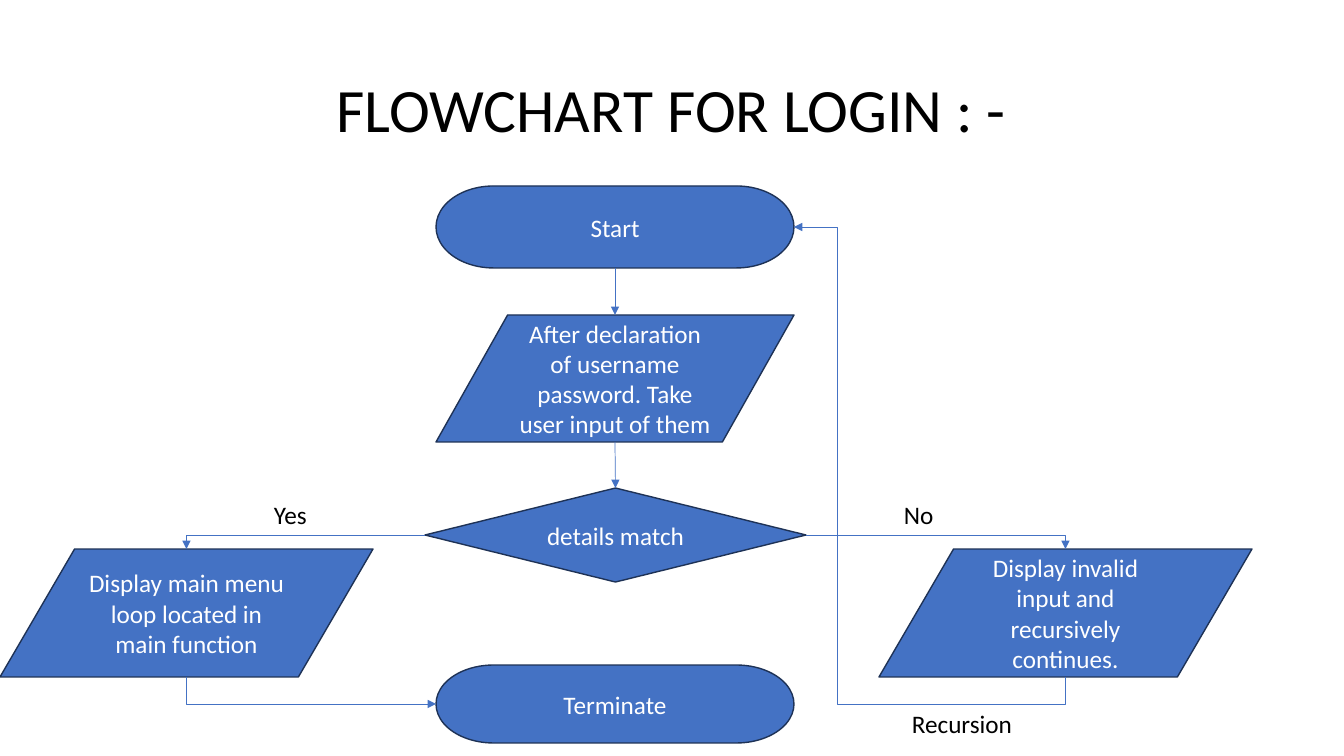
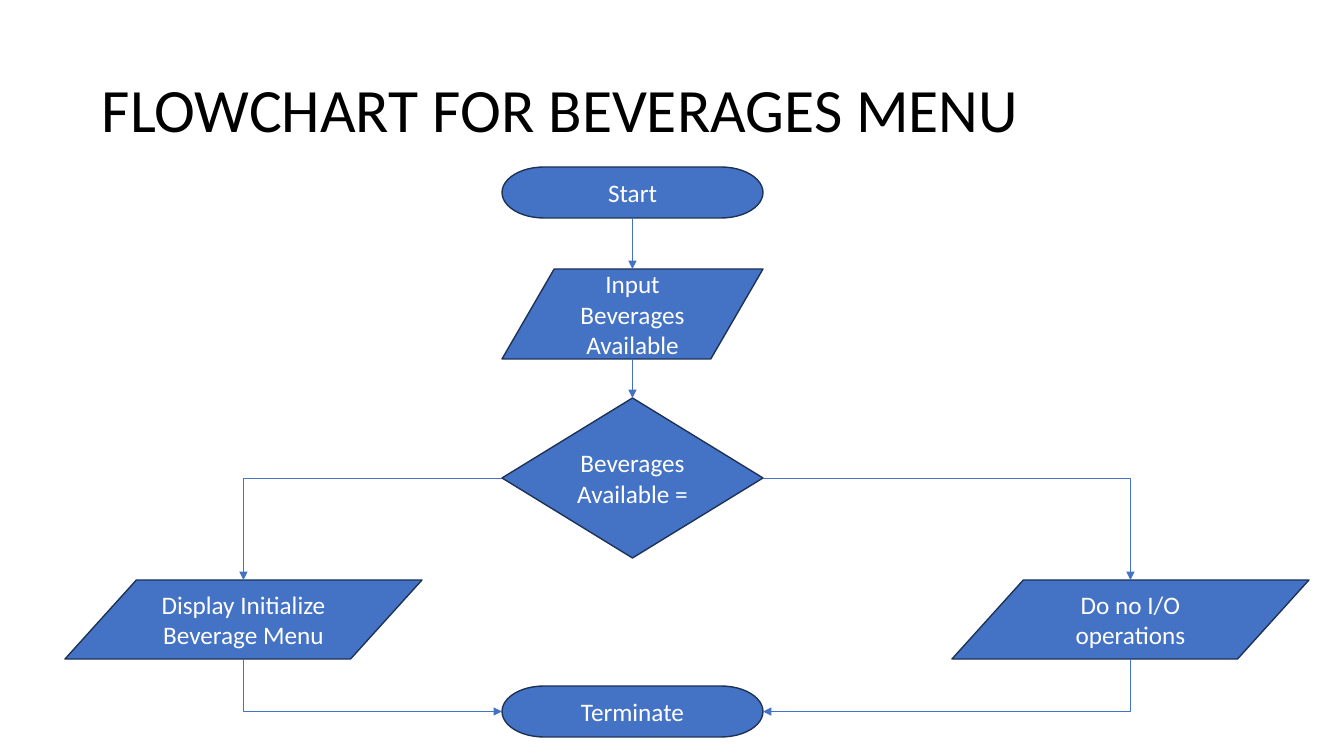
from typing import NamedTuple

from lxml import etree
from pptx import Presentation
from pptx.dml.color import RGBColor
from pptx.enum.shapes import MSO_CONNECTOR, MSO_SHAPE
from pptx.enum.text import MSO_ANCHOR, PP_ALIGN
from pptx.oxml.ns import qn
from pptx.util import Emu, Pt

EMU_PER_PX = 914400 / 100.8
SLIDE_W, SLIDE_H = 1344, 756

BLUE = RGBColor(0x44, 0x72, 0xC4)
NAVY = RGBColor(0x1E, 0x32, 0x56)
WHITE = RGBColor(0xFF, 0xFF, 0xFF)
BLACK = RGBColor(0x00, 0x00, 0x00)
FONT = "Calibri"
TITLE_PT, BODY_PT = 44, 18

TERMINATOR = MSO_SHAPE.FLOWCHART_TERMINATOR
INPUT_OUTPUT = MSO_SHAPE.FLOWCHART_DATA
DECISION = MSO_SHAPE.FLOWCHART_DECISION
STRAIGHT, ELBOW = MSO_CONNECTOR.STRAIGHT, MSO_CONNECTOR.ELBOW
LEFT, CENTER = PP_ALIGN.LEFT, PP_ALIGN.CENTER
TOP, MIDDLE = MSO_ANCHOR.TOP, MSO_ANCHOR.MIDDLE


class Box(NamedTuple):
    x: int
    y: int
    w: int
    h: int

    def inner(self, x, y, w, h):
        """A box placed relative to this one."""
        return Box(self.x + x, self.y + y, w, h)

    def emu(self):
        return [px(length) for length in self]

    @property
    def top(self):
        return self.x + self.w / 2, self.y

    @property
    def bottom(self):
        return self.x + self.w / 2, self.y + self.h

    @property
    def left(self):
        return self.x, self.y + self.h / 2

    @property
    def right(self):
        return self.x + self.w, self.y + self.h / 2


TITLE_BOX = Box(92, 40, 1159, 146)


def px(length):
    return Emu(round(length * EMU_PER_PX))


def write(shape, text, size, color, align, anchor):
    frame = shape.text_frame
    frame.word_wrap = True
    frame.vertical_anchor = anchor
    paragraph = frame.paragraphs[0]
    paragraph.alignment = align
    run = paragraph.add_run()
    run.text = text
    run.font.size = Pt(size)
    run.font.name = FONT
    run.font.color.rgb = color
    return paragraph


def add_title(slide, box, text, align):
    title = slide.shapes.add_textbox(*box.emu())
    write(title, text, TITLE_PT, BLACK, align, MIDDLE).line_spacing = 0.9


def add_label(slide, box, text):
    label = slide.shapes.add_textbox(*box.emu())
    write(label, text, BODY_PT, BLACK, LEFT, TOP)


def add_step(slide, kind, box, text):
    """Draw one flowchart step and return its box."""
    step = slide.shapes.add_shape(kind, *box.emu())
    step.shadow.inherit = False
    step.fill.solid()
    step.fill.fore_color.rgb = BLUE
    step.line.color.rgb = NAVY
    step.line.width = Pt(1)
    write(step, text, BODY_PT, WHITE, CENTER, MIDDLE)
    return box


def add_arrow(slide, start, end, kind=STRAIGHT):
    """Draw an arrow and return its shape properties element."""
    arrow = slide.shapes.add_connector(kind, *map(px, start + end))
    arrow.line.color.rgb = BLUE
    arrow.line.width = Pt(0.5)
    properties = arrow.element.spPr
    line = properties.find(qn("a:ln"))
    etree.SubElement(line, qn("a:tailEnd"), type="triangle")
    etree.SubElement(properties, qn("a:effectLst"))
    return properties


def across_then_down(slide, start, end):
    properties = add_arrow(slide, start, end, ELBOW)
    properties.find(qn("a:prstGeom")).set("prst", "bentConnector2")


def down_then_across(slide, start, end, preset="bentConnector2", bends=()):
    """Leave vertically and arrive horizontally, as a connector turned a quarter."""
    (x1, y1), (x2, y2) = start, end
    w, h = abs(y2 - y1), abs(x2 - x1)
    x, y = (x1 + x2 - w) / 2, (y1 + y2 - h) / 2
    properties = add_arrow(slide, (x, y), (x + w, y + h), ELBOW)
    goes_right, goes_down = x2 > x1, y2 > y1
    transform = properties.find(qn("a:xfrm"))
    transform.set("rot", str((270 if goes_right else 90) * 60000))
    if goes_right == goes_down:
        transform.set("flipH", "1")
    geometry = properties.find(qn("a:prstGeom"))
    geometry.set("prst", preset)
    guides = geometry.find(qn("a:avLst"))
    for number, bend in enumerate(bends, 1):
        etree.SubElement(guides, qn("a:gd"), name=f"adj{number}",
                         fmla=f"val {bend * 1000}")


def add_main_column(slide, steps):
    """Draw steps from top to bottom, each joined to the next by an arrow."""
    boxes = [add_step(slide, *step) for step in steps]
    for upper, lower in zip(boxes, boxes[1:]):
        add_arrow(slide, upper.bottom, lower.top)
    return boxes


def add_login_flow(slide, area):
    start, _, match = add_main_column(slide, [
        (TERMINATOR, area.inner(436, 0, 358, 82), "Start"),
        (INPUT_OUTPUT, area.inner(436, 129, 358, 127),
         "After declaration of username password. Take user input of them"),
        (DECISION, area.inner(425, 302, 381, 94), "details match"),
    ])
    terminate = add_step(slide, TERMINATOR, area.inner(436, 479, 358, 78), "Terminate")
    invalid = add_step(slide, INPUT_OUTPUT, area.inner(879, 363, 373, 128),
                       "Display invalid input and recursively continues.")
    menu = add_step(slide, INPUT_OUTPUT, area.inner(0, 363, 373, 128),
                    "Display main menu loop located in main function")

    across_then_down(slide, match.right, invalid.top)
    across_then_down(slide, match.left, menu.top)
    down_then_across(slide, menu.bottom, terminate.left)
    down_then_across(slide, invalid.bottom, start.right,
                     "bentConnector4", bends=(-6, 84))
    add_label(slide, area.inner(264, 308, 74, 40), "Yes")
    add_label(slide, area.inner(894, 308, 117, 40), "No")
    add_label(slide, area.inner(902, 517, 127, 40), "Recursion")


def add_beverages_flow(slide, area):
    *_, available = add_main_column(slide, [
        (TERMINATOR, area.inner(437, 0, 261, 51), "Start"),
        (INPUT_OUTPUT, area.inner(437, 102, 261, 90), "Input Beverages Available"),
        (DECISION, area.inner(437, 231, 261, 160), "Beverages Available ="),
    ])
    menu = add_step(slide, INPUT_OUTPUT, area.inner(0, 413, 357, 79),
                    "Display Initialize Beverage Menu")
    nothing = add_step(slide, INPUT_OUTPUT, area.inner(887, 413, 357, 79),
                       "Do no I/O operations")
    terminate = add_step(slide, TERMINATOR, area.inner(437, 519, 261, 51), "Terminate")

    for branch, leave, arrive in (
        (menu, available.left, terminate.left),
        (nothing, available.right, terminate.right),
    ):
        across_then_down(slide, leave, branch.top)
        down_then_across(slide, branch.bottom, arrive)


def main():
    deck = Presentation()
    deck.slide_width, deck.slide_height = px(SLIDE_W), px(SLIDE_H)
    blank = deck.slide_layouts[6]
    for title, align, add_flow, area in (
        ("FLOWCHART FOR LOGIN : -", CENTER, add_login_flow, Box(0, 186, 1252, 557)),
        ("FLOWCHART FOR BEVERAGES MENU", LEFT, add_beverages_flow,
         Box(65, 167, 1244, 570)),
    ):
        slide = deck.slides.add_slide(blank)
        add_title(slide, TITLE_BOX, title, align)
        add_flow(slide, area)
    deck.save("out.pptx")


if __name__ == "__main__":
    main()
